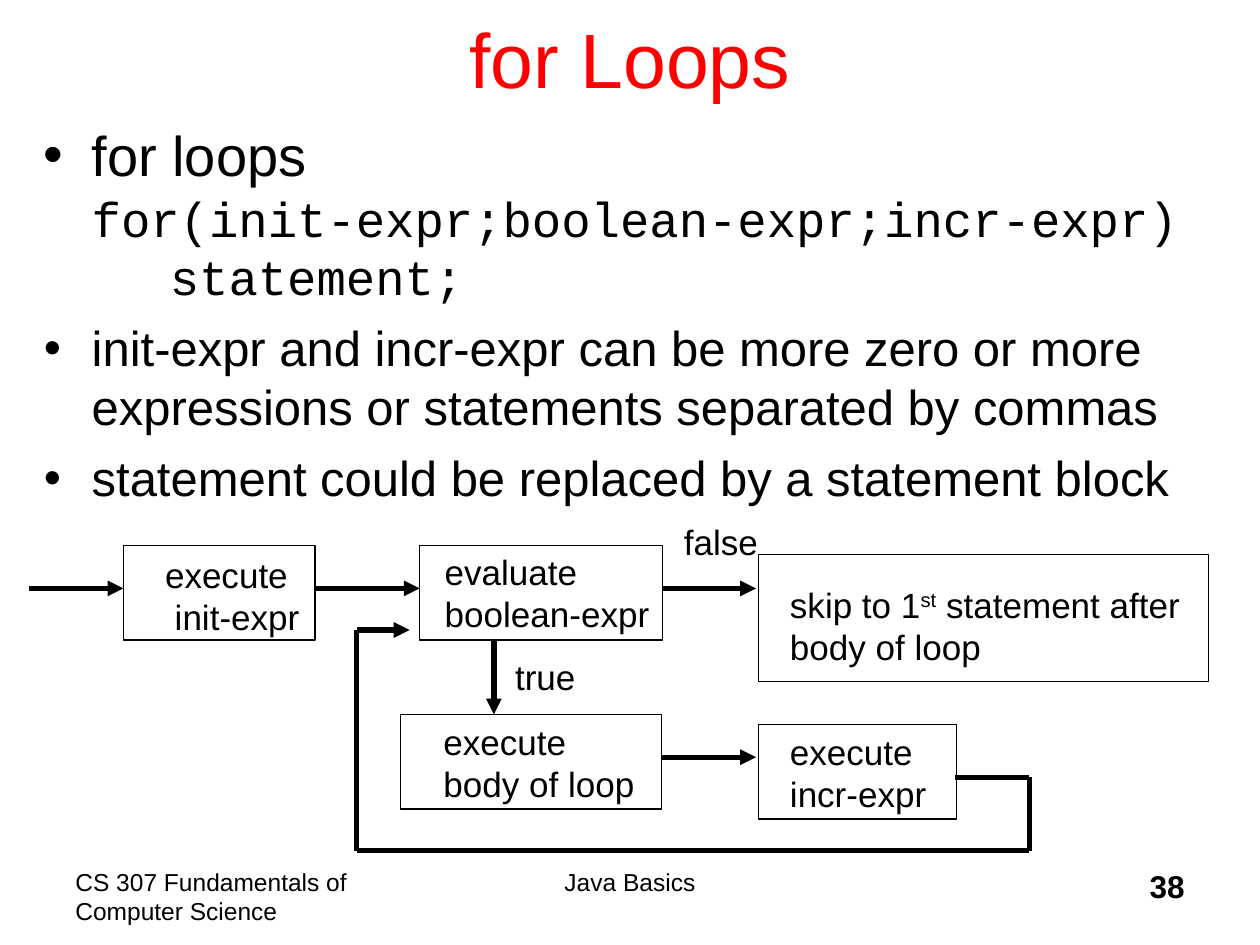
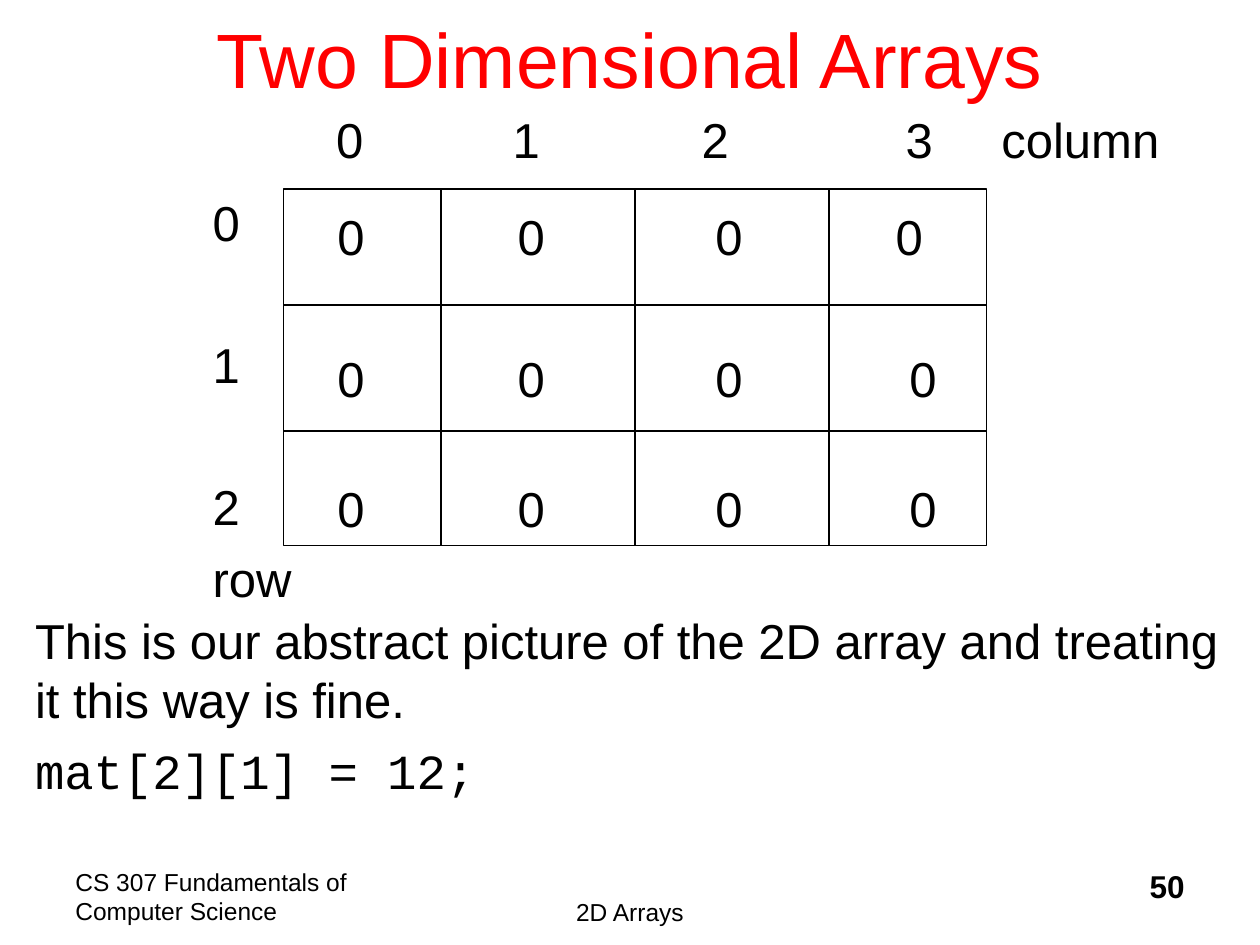
from dataclasses import dataclass

from lxml import etree
from pptx import Presentation
from pptx.dml.color import RGBColor
from pptx.enum.shapes import MSO_CONNECTOR, MSO_SHAPE
from pptx.enum.text import MSO_ANCHOR, PP_ALIGN
from pptx.oxml.ns import qn
from pptx.util import Inches, Pt

BLACK = RGBColor(0x00, 0x00, 0x00)
RED = RGBColor(0xFF, 0x00, 0x00)
LEFT, CENTER, RIGHT = PP_ALIGN.LEFT, PP_ALIGN.CENTER, PP_ALIGN.RIGHT
TOP, MIDDLE = MSO_ANCHOR.TOP, MSO_ANCHOR.MIDDLE
RECTANGLE = MSO_SHAPE.RECTANGLE
STRAIGHT = MSO_CONNECTOR.STRAIGHT
SANS, MONO = "Arial", "Courier New"
TITLE_ONLY = 5
THIN, THICK = Pt(0.75), Pt(3)
COURSE = "CS 307 Fundamentals of Computer Science"


@dataclass
class Span:
    text: str
    size: float = 28
    font: str = SANS
    color: RGBColor = BLACK
    bold: bool = False
    superscript: bool = False


def add_spans(para, spans, align=LEFT, before=0):
    para.alignment = align
    para.space_before = Pt(before)
    for span in spans:
        for number, line in enumerate(span.text.split("\n")):
            if number:
                para.add_line_break()
            if not line:
                continue
            run = para.add_run()
            run.text = line
            run.font.size = Pt(span.size)
            run.font.name = span.font
            run.font.bold = span.bold
            run.font.color.rgb = span.color
            if span.superscript:
                run.font._element.set("baseline", "30000")


def set_tabs(para, stops):
    tabs = etree.SubElement(para._p.get_or_add_pPr(), qn("a:tabLst"))
    for stop in stops:
        etree.SubElement(tabs, qn("a:tab"), pos=str(Inches(stop)), algn="l")


def set_bullet(para):
    properties = para._p.get_or_add_pPr()
    properties.set("marL", str(Inches(0.38)))
    properties.set("indent", str(Inches(-0.38)))
    etree.SubElement(properties, qn("a:buFont"), typeface=SANS)
    etree.SubElement(properties, qn("a:buChar"), char="•")


def add_text(page, left, top, width, height, paragraphs, align=LEFT, before=7):
    box = page.shapes.add_textbox(Inches(left), Inches(top), Inches(width), Inches(height))
    frame = box.text_frame
    frame.word_wrap = True
    for number, spans in enumerate(paragraphs):
        para = frame.add_paragraph() if number else frame.paragraphs[0]
        add_spans(para, spans, align, before if number else 0)
    return frame


def add_rectangle(page, left, top, width, height):
    rectangle = page.shapes.add_shape(
        RECTANGLE, Inches(left), Inches(top), Inches(width), Inches(height))
    rectangle.shadow.inherit = False
    rectangle.fill.background()
    rectangle.line.color.rgb = BLACK
    rectangle.line.width = THIN
    return rectangle


def add_node(page, left, top, width, height, spans, inset_left, inset_top=0.05):
    frame = add_rectangle(page, left, top, width, height).text_frame
    frame.word_wrap = True
    frame.vertical_anchor = TOP
    frame.margin_left, frame.margin_top = Inches(inset_left), Inches(inset_top)
    frame.margin_right = frame.margin_bottom = 0
    add_spans(frame.paragraphs[0], spans)


def add_line(page, start, end, weight=THICK, arrow=False):
    line = page.shapes.add_connector(STRAIGHT, *map(Inches, start + end))
    line.line.color.rgb = BLACK
    line.line.width = weight
    if arrow:
        etree.SubElement(line.line._get_or_add_ln(), qn("a:tailEnd"), type="triangle")
    etree.SubElement(line._element.spPr, qn("a:effectLst"))


def add_page(deck, title, topic, number, topic_top=6.83):
    page = deck.slides.add_slide(deck.slide_layouts[TITLE_ONLY])
    heading = page.shapes.title
    heading.left, heading.top = Inches(0.75), Inches(-0.17)
    heading.width, heading.height = Inches(8.5), Inches(1.25)
    heading.text_frame.vertical_anchor = MIDDLE
    add_spans(heading.text_frame.paragraphs[0], [Span(title, 44, color=RED)], CENTER)
    add_text(page, 0.5, 6.83, 2.5, 0.5, [[Span(COURSE, 14)]])
    add_text(page, 3.08, topic_top, 3.84, 0.5, [[Span(topic, 14)]], CENTER)
    add_text(page, 7.42, 6.83, 2.08, 0.5, [[Span(number, 18, bold=True)]], RIGHT)
    return page


def add_flowchart(page):
    add_node(page, 0.98, 4.33, 1.52, 0.75, [Span("execute\n init-expr", 20)], 0.33, 0.06)
    add_node(page, 3.33, 4.33, 1.93, 0.75, [Span("evaluate\nboolean-expr", 20)], 0.2, 0.04)
    after_loop = [Span("skip to 1", 20), Span("st", 20, superscript=True),
                  Span(" statement after\nbody of loop", 20)]
    add_node(page, 6.02, 4.4, 3.57, 1.01, after_loop, 0.25, 0.23)
    add_node(page, 3.18, 5.67, 2.07, 0.75, [Span("execute\nbody of loop", 20)], 0.34)
    add_node(page, 6.02, 5.75, 1.57, 0.75, [Span("execute\nincr-expr", 20)], 0.25)
    add_text(page, 5.33, 4.08, 0.9, 0.44, [[Span("false", 20)]])
    add_text(page, 3.99, 5.15, 0.8, 0.44, [[Span("true", 20)]])

    arrows = [((0.23, 4.67), (0.98, 4.67)), ((2.5, 4.67), (3.33, 4.67)),
              ((5.25, 4.67), (6, 4.67)), ((3.92, 5.08), (3.92, 5.67)),
              ((5.25, 6.01), (6, 6.01))]
    for start, end in arrows:
        add_line(page, start, end, arrow=True)

    loop_back = [(7.58, 6.17), (8.17, 6.17), (8.17, 6.75),
                 (2.83, 6.75), (2.83, 5), (3.25, 5)]
    for start, end in zip(loop_back, loop_back[1:]):
        add_line(page, start, end, arrow=end == loop_back[-1])


def add_array(page):
    left, top, right, bottom = 2.25, 1.5, 7.83, 4.33
    add_rectangle(page, left, top, right - left, bottom - top)
    for y in (2.42, 3.42):
        add_line(page, (left, y), (right, y), THIN)
    for x in (3.5, 5.04, 6.58):
        add_line(page, (x, top), (x, bottom), THIN)

    values = add_text(page, 2.58, 1.59, 5.1, 2.73, [[Span("0\t0\t0\t0")]] * 3, before=47.6)
    values.paragraphs[-1].space_before = Pt(40.6)
    for para, last_stop in zip(values.paragraphs, (4.43, 4.54, 4.54)):
        set_tabs(para, [1.43, 3, last_stop])


def build_for_loops(deck):
    page = add_page(deck, "for Loops", "Java Basics", "38")
    points = [
        [Span("for loops\n", 32),
         Span("for(init-expr;boolean-expr;incr-expr)\n\tstatement;", font=MONO)],
        [Span("init-expr and incr-expr can be more zero or more "
              "expressions or statements separated by commas")],
        [Span("statement could be replaced by a statement block")],
    ]
    body = add_text(page, 0.25, 0.91, 9.5, 6, points)
    for para in body.paragraphs:
        set_bullet(para)
    set_tabs(body.paragraphs[0], [1])
    add_flowchart(page)


def build_arrays(deck):
    page = add_page(deck, "Two Dimensional Arrays", "2D Arrays", "50", topic_top=7.07)
    add_array(page)
    header = add_text(page, 2.57, 0.82, 6.9, 0.57, [[Span("0\t1\t2\t3\tcolumn")]])
    set_tabs(header.paragraphs[0], [1.4, 2.9, 4.52, 5.28])
    labels = [[Span(label)] for label in ("0", "1", "2", "row")]
    rows = add_text(page, 1.59, 1.48, 0.9, 3.38, labels, before=47.6)
    rows.paragraphs[-1].space_before = Pt(7)
    add_text(page, 0.18, 4.8, 9.7, 1.6, [
        [Span("This is our abstract picture of the 2D array and treating\n"
              "it this way is fine.")],
        [Span("mat[2][1] = 12;", font=MONO)],
    ])


def main():
    deck = Presentation()
    deck.slide_width, deck.slide_height = Inches(10), Inches(7.5)
    build_for_loops(deck)
    build_arrays(deck)
    deck.save("out.pptx")


if __name__ == "__main__":
    main()
